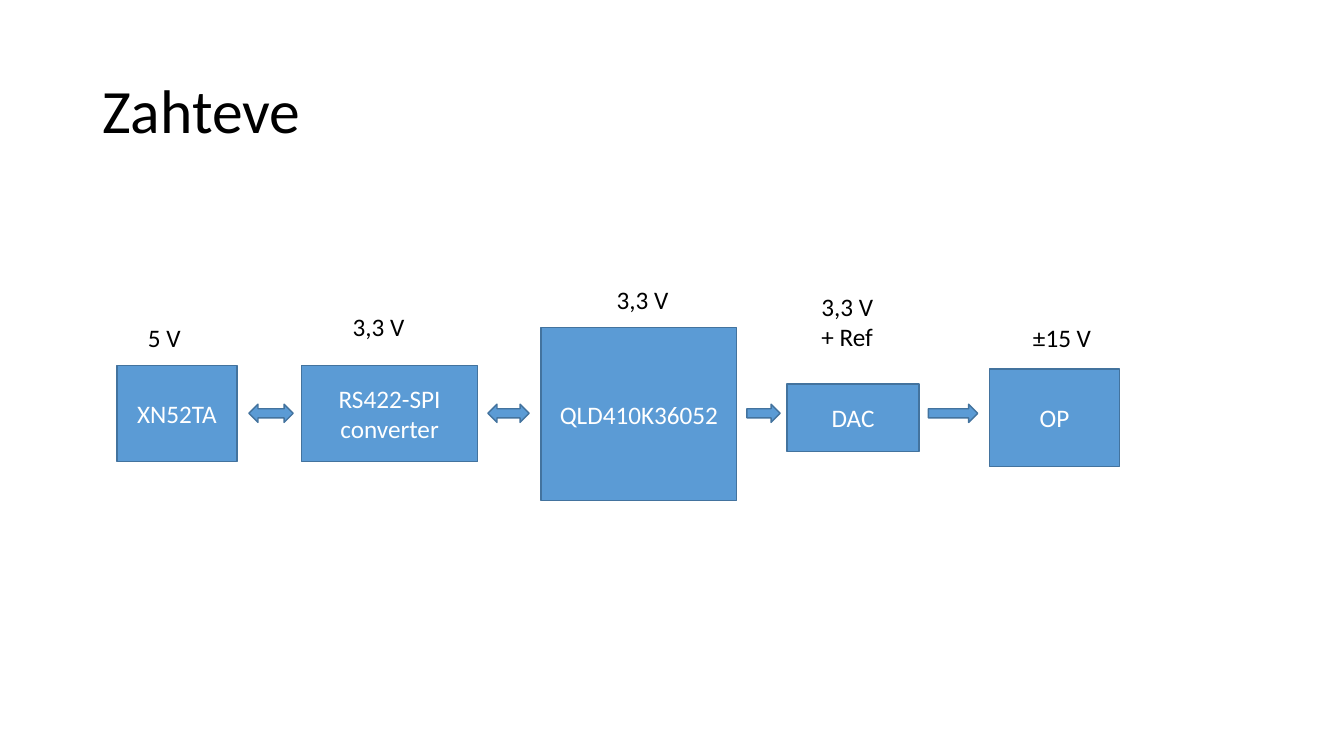
import pptx
import pptx.dml.color
import pptx.enum.shapes
import pptx.enum.text
import pptx.util
from dataclasses import dataclass

Pt = pptx.util.Pt
RGB = pptx.dml.color.RGBColor
SHAPE = pptx.enum.shapes.MSO_SHAPE
ANCHOR = pptx.enum.text.MSO_ANCHOR
ALIGN = pptx.enum.text.PP_ALIGN


@dataclass(frozen=True)
class Theme:
    font: str = "Calibri"
    fill: RGB = RGB(0x5B, 0x9B, 0xD5)
    line: RGB = RGB(0x43, 0x73, 0x9E)
    dark: RGB = RGB(0, 0, 0)
    light: RGB = RGB(255, 255, 255)
    title_size: int = 44
    body_size: int = 18
    line_width: int = 1


class Diagram:
    def __init__(self, slide, theme):
        self.slide = slide
        self.theme = theme

    def set_text(self, sp, text, size, color, align, anchor):
        tf = sp.text_frame
        tf.word_wrap = True
        tf.vertical_anchor = anchor
        tf.text = text
        for p in tf.paragraphs:
            p.alignment = align
            for r in p.runs:
                r.font.name = self.theme.font
                r.font.size = Pt(size)
                r.font.color.rgb = color
        return tf

    def shape(self, kind, x, y, w, h):
        sp = self.slide.shapes.add_shape(kind, Pt(x), Pt(y), Pt(w), Pt(h))
        sp.shadow.inherit = False
        sp.fill.solid()
        sp.fill.fore_color.rgb = self.theme.fill
        sp.line.color.rgb = self.theme.line
        sp.line.width = Pt(self.theme.line_width)
        return sp

    def title(self, text, x, y, w, h):
        sp = self.slide.shapes.add_textbox(Pt(x), Pt(y), Pt(w), Pt(h))
        tf = self.set_text(sp, text, self.theme.title_size, self.theme.dark,
                           ALIGN.LEFT, ANCHOR.MIDDLE)
        tf.paragraphs[0].line_spacing = 0.9

    def block(self, text, x, y, w, h):
        sp = self.shape(SHAPE.RECTANGLE, x, y, w, h)
        self.set_text(sp, text, self.theme.body_size, self.theme.light,
                      ALIGN.CENTER, ANCHOR.MIDDLE)

    def arrow(self, kind, x, w):
        """Draw a block arrow on the signal axis shared by all blocks."""
        self.shape(kind, x, 288.7, w, 13)

    def voltage(self, text, x, y):
        lines = text.count("\n") + 1
        sp = self.slide.shapes.add_textbox(
            Pt(x), Pt(y), Pt(59.8), Pt(7.2 + 21.8 * lines))
        self.set_text(sp, text, self.theme.body_size, self.theme.dark,
                      ALIGN.LEFT, ANCHOR.TOP)


# text, left, top, width, height
BLOCKS = [
    ("XN52TA", 83.5, 261.2, 85.9, 68.6),
    ("RS422-SPI\nconverter", 215.3, 261.2, 126, 68.6),
    ("QLD410K36052", 386.6, 233.8, 139.7, 123.8),
    ("DAC", 562.2, 274.2, 94.3, 48.3),
    ("OP", 706.8, 263.5, 92.9, 69.9),
]
# kind, left, width
ARROWS = [
    (SHAPE.LEFT_RIGHT_ARROW, 177.8, 31.7),
    (SHAPE.LEFT_RIGHT_ARROW, 348.5, 29.5),
    (SHAPE.RIGHT_ARROW, 533.5, 23.8),
    (SHAPE.RIGHT_ARROW, 663.1, 35.3),
]
# text, left, top
VOLTAGES = [
    ("5 V", 98.6, 226.8),
    ("3,3 V", 244.8, 218.9),
    ("3,3 V", 433.4, 199.4),
    ("3,3 V\n+ Ref", 579.6, 204.5),
    ("±15 V", 730.8, 226.8),
]


def main():
    prs = pptx.Presentation()
    prs.slide_width, prs.slide_height = Pt(960), Pt(540)
    slide = prs.slides.add_slide(prs.slide_layouts[6])
    diagram = Diagram(slide, Theme())
    diagram.title("Zahteve", 66, 28.8, 828, 104.4)
    for block in BLOCKS:
        diagram.block(*block)
    for arrow in ARROWS:
        diagram.arrow(*arrow)
    for voltage in VOLTAGES:
        diagram.voltage(*voltage)
    prs.save("out.pptx")


if __name__ == "__main__":
    main()
